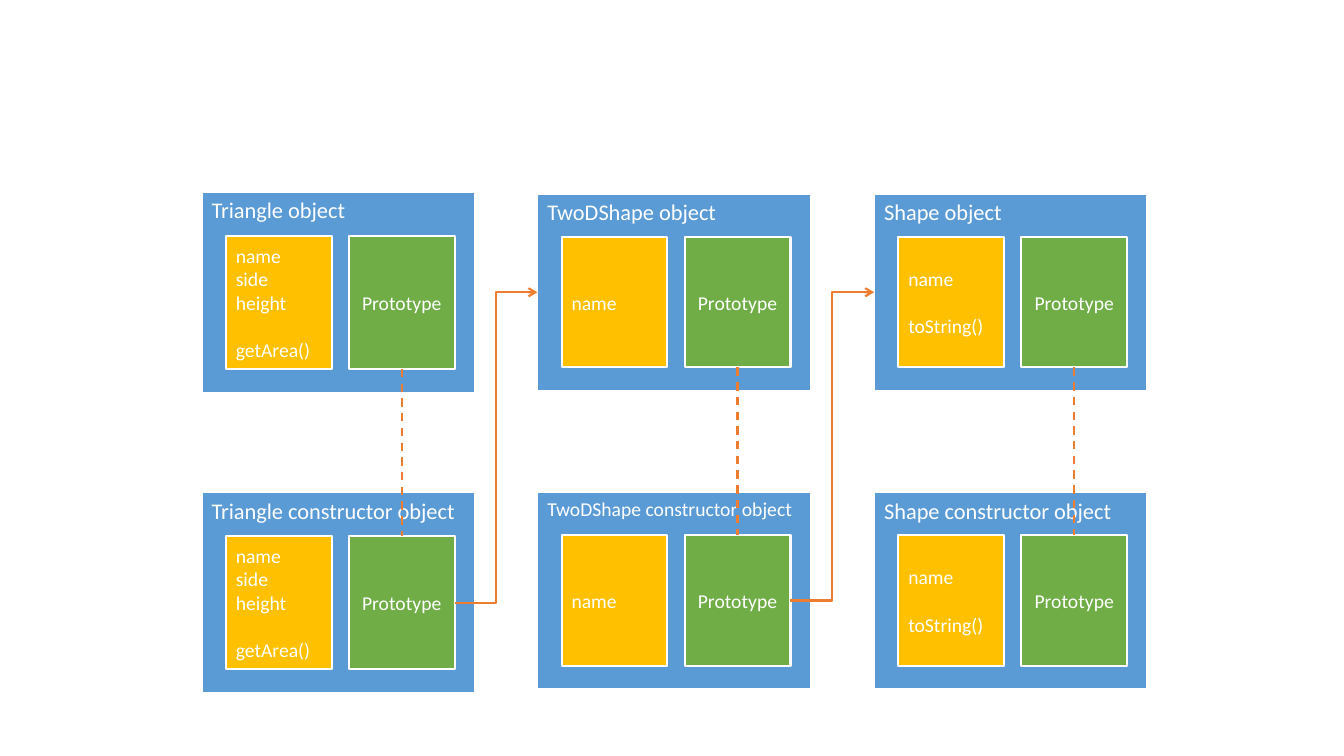
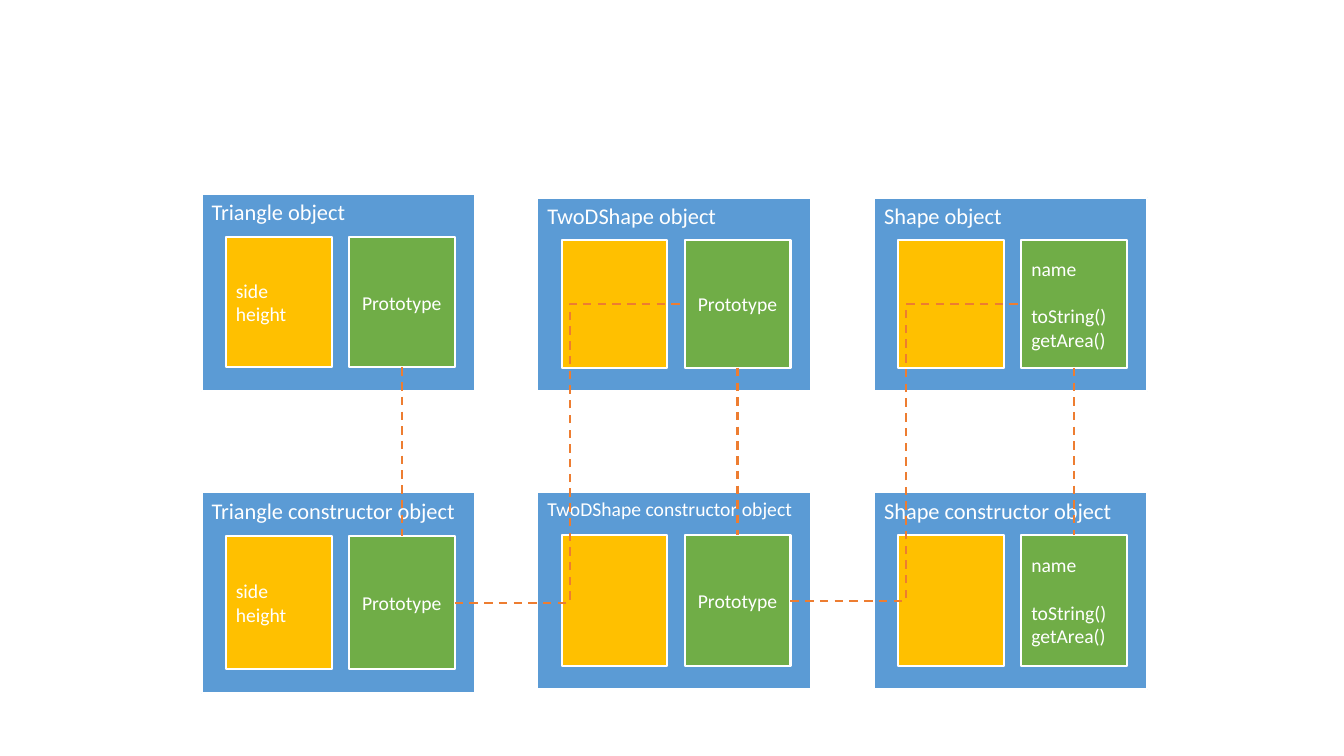
from pptx import Presentation
from pptx.dml.color import RGBColor
from pptx.enum.dml import MSO_LINE_DASH_STYLE as DASH
from pptx.enum.shapes import MSO_CONNECTOR as CONNECTOR, MSO_SHAPE as SHAPE
from pptx.enum.text import MSO_ANCHOR as ANCHOR, PP_ALIGN as ALIGN
from pptx.oxml.ns import qn
from pptx.util import Inches, Pt
from lxml import etree

WHITE = RGBColor(0xFF, 0xFF, 0xFF)
BLUE = RGBColor(0x5B, 0x9B, 0xD5)
GOLD = RGBColor(0xFF, 0xC0, 0x00)
GREEN = RGBColor(0x70, 0xAD, 0x47)
ORANGE = RGBColor(0xED, 0x7D, 0x31)
FONT = "Calibri"
LINE_WIDTH = Pt(1.5)

COLUMN_LEFTS = (2, 5.33, 8.67)
OBJECT_WIDTH = 2.71
SLOT_WIDTH = 1.05
OWN_OFFSET, PROTOTYPE_OFFSET = 0.24, 1.46
SLOT_TOP_SHARE, SLOT_HEIGHT_SHARE = 0.22, 0.66
TOP, LEFT, BOTTOM, RIGHT = range(4)  # connection sites of a rectangle

CLASSES = ("Triangle", "TwoDShape", "Shape")
LOWER_ROW = ((4.88, 2), (4.88, 1.96), (4.88, 1.96))
PROTOTYPE = ["Prototype"]

# Each slot lists its lines; a method after a field starts a new block.
DIAGRAMS = (
    {
        "upper_row": ((1.9, 2), (1.92, 1.96), (1.92, 1.96)),
        "own": (["name", "side", "height", "getArea()"], ["name"], ["name", "toString()"]),
        "prototypes": (PROTOTYPE, PROTOTYPE, PROTOTYPE),
        "inherits_from": "object",
    },
    {
        "upper_row": ((1.92, 1.96), (1.96, 1.92), (1.96, 1.92)),
        "own": (["side", "height"], [], []),
        "prototypes": (PROTOTYPE, PROTOTYPE, ["name", "toString()", "getArea()"]),
        "inherits_from": "prototype",
    },
)


def add_box(group, place, fill, lines, size=14, anchor=ANCHOR.MIDDLE):
    box = group.shapes.add_shape(SHAPE.RECTANGLE, *map(Inches, place))
    box.shadow.inherit = False
    box.fill.solid()
    box.fill.fore_color.rgb = fill
    box.line.color.rgb = WHITE
    box.line.width = LINE_WIDTH
    frame = box.text_frame
    frame.word_wrap = True
    frame.vertical_anchor = anchor
    previous = ""
    for index, line in enumerate(lines):
        para = frame.add_paragraph() if index else frame.paragraphs[0]
        para.alignment = ALIGN.CENTER if lines == PROTOTYPE else ALIGN.LEFT
        if previous and line.endswith("()") and not previous.endswith("()"):
            para.space_before = Pt(17)
        span = para.add_run()
        span.text = line
        font_format = {"name": FONT, "size": Pt(size)}
        for name, value in font_format.items():
            setattr(span.font, name, value)
        span.font.color.rgb = WHITE
        previous = line
    return box


def add_link(page, kind, start, end, dashed=True):
    """Join two (box, connection site) pairs; a solid link gets an arrowhead."""
    link = page.shapes.add_connector(kind, 0, 0, 0, 0)
    link.begin_connect(*start)
    link.end_connect(*end)
    link.line.color.rgb = ORANGE
    link.line.width = LINE_WIDTH
    properties = link.element.spPr
    if dashed:
        link.line.dash_style = DASH.DASH
    else:
        outline = properties.find(qn("a:ln"))
        etree.SubElement(outline, qn("a:tailEnd"), type="arrow")
    etree.SubElement(properties, qn("a:effectLst"))


deck = Presentation()
deck.slide_width = Inches(13.33)
deck.slide_height = Inches(7.5)
blank_layout = deck.slide_layouts[6]

for diagram in DIAGRAMS:
    page = deck.slides.add_slide(blank_layout)
    rows = []
    for row, suffix in ((diagram["upper_row"], "object"), (LOWER_ROW, "constructor object")):
        boxes = []
        for column, (top, height) in enumerate(row):
            left = COLUMN_LEFTS[column]
            title = f"{CLASSES[column]} {suffix}"
            title_size = 14 if len(title) > 27 else 16
            group = page.shapes.add_group_shape()
            outer = add_box(group, (left, top, OBJECT_WIDTH, height), BLUE,
                            [title], title_size, ANCHOR.TOP)
            slot_top = top + height * SLOT_TOP_SHARE
            slot_height = height * SLOT_HEIGHT_SHARE
            add_box(group, (left + OWN_OFFSET, slot_top, SLOT_WIDTH, slot_height),
                    GOLD, diagram["own"][column])
            prototype = add_box(
                group, (left + PROTOTYPE_OFFSET, slot_top, SLOT_WIDTH, slot_height),
                GREEN, diagram["prototypes"][column])
            boxes.append({"object": outer, "prototype": prototype})
        rows.append(boxes)

    objects, constructors = rows
    for instance, constructor in zip(objects, constructors):
        add_link(page, CONNECTOR.STRAIGHT,
                 (instance["prototype"], BOTTOM), (constructor["prototype"], TOP))
    target = diagram["inherits_from"]
    for constructor, parent in zip(constructors, objects[1:]):
        add_link(page, CONNECTOR.ELBOW, (constructor["prototype"], RIGHT),
                 (parent[target], LEFT), dashed=target == "prototype")

deck.save("out.pptx")
